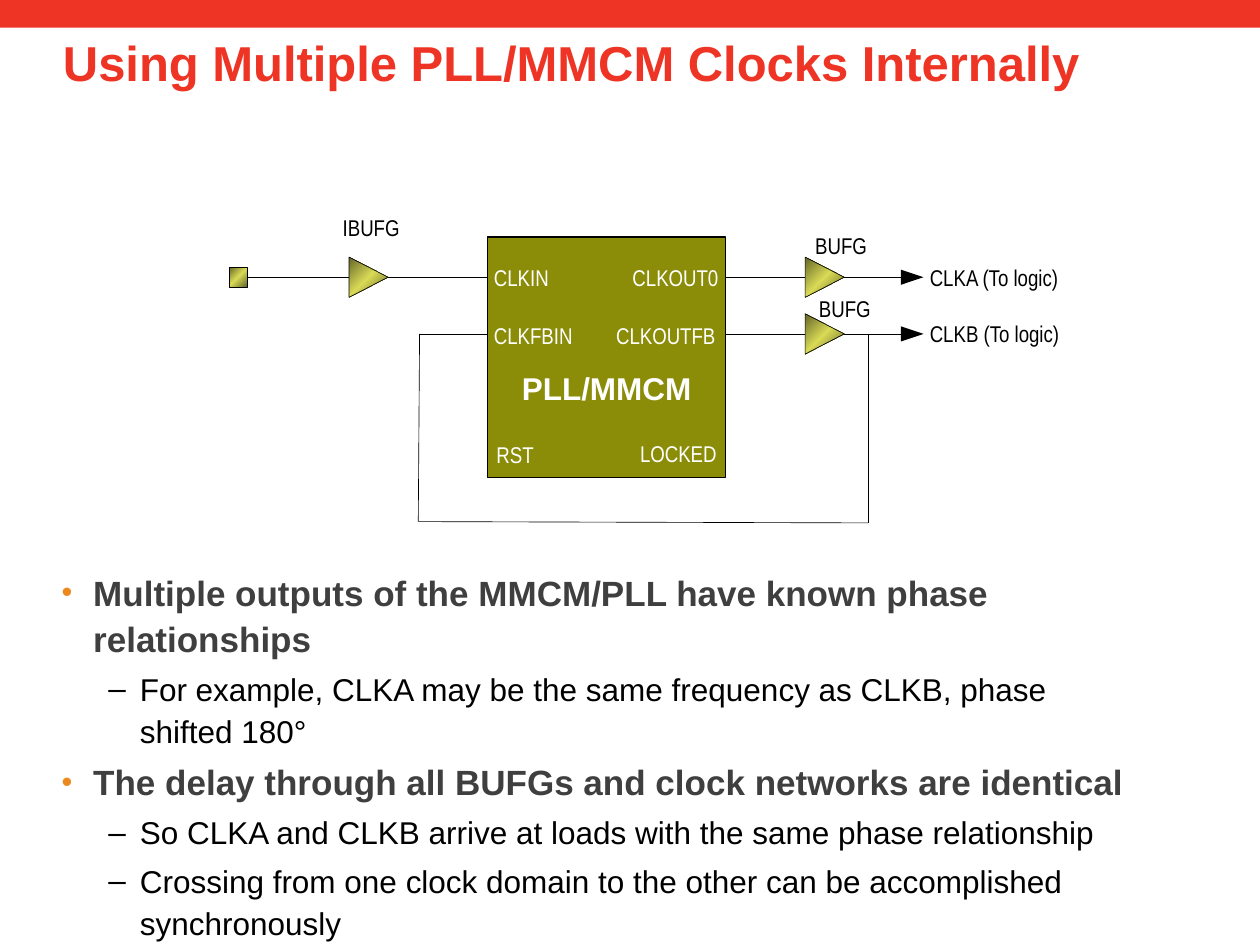
"""Build the slide on using several PLL/MMCM clocks internally."""
import lxml.etree
import pptx
import pptx.dml.color
import pptx.enum.shapes
import pptx.enum.text
import pptx.oxml.ns
import pptx.util

Inches, Pt = pptx.util.Inches, pptx.util.Pt
qn = pptx.oxml.ns.qn
SHAPES = pptx.enum.shapes.MSO_SHAPE
ANCHOR = pptx.enum.text.MSO_ANCHOR
CENTER = pptx.enum.text.PP_ALIGN.CENTER

RED, BLACK, WHITE, OLIVE = "EE3424", "000000", "FFFFFF", "8B8D09"
GOLD = ((0, "646528"), (50, "D9DA56"), (100, "646528"))
THIN = 0.38

TITLE = "Using Multiple PLL/MMCM Clocks Internally"
POINTS = [
    (0, "Multiple outputs of the MMCM/PLL have known phase relationships"),
    (1, "For example, CLKA may be the same frequency as CLKB, phase shifted 180°"),
    (0, "The delay through all BUFGs and clock networks are identical"),
    (1, "So CLKA and CLKB arrive at loads with the same phase relationship"),
    (1, "Crossing from one clock domain to the other can be accomplished synchronously"),
]
LEVELS = [
    {"bullet": "•", "bullet_color": "EC891D", "bullet_size": 88, "indent": 0.25,
     "spacing": {"line_spacing": Pt(26.4), "space_before": Pt(4)},
     "font": {"size": Pt(20), "bold": True}, "color": "3F3F3F"},
    {"bullet": "–", "bullet_color": BLACK, "bullet_size": 100, "indent": 0.62,
     "spacing": {"line_spacing": Pt(24), "space_before": Pt(3.6)},
     "font": {"size": Pt(18), "bold": False}, "color": BLACK},
]
LABELS = [
    ("IBUFG", 2.72, 1.7, 0.55, BLACK),
    ("BUFG", 6.47, 1.84, 0.5, BLACK),
    ("BUFG", 6.5, 2.34, 0.5, BLACK),
    ("CLKA (To logic)", 7.38, 2.09, 1.37, BLACK),
    ("CLKB (To logic)", 7.38, 2.54, 1.37, BLACK),
    ("CLKIN", 3.92, 2.09, 0.53, WHITE),
    ("CLKFBIN", 3.92, 2.55, 0.76, WHITE),
    ("RST", 3.94, 3.5, 0.35, WHITE),
    ("CLKOUT0", 5.02, 2.09, 0.84, WHITE),
    ("CLKOUTFB", 4.89, 2.55, 0.96, WHITE),
    ("LOCKED", 5.08, 3.49, 0.74, WHITE),
]
CLKA_Y, CLKB_Y = 2.2, 2.65
INPUT_X, OUTPUT_X, ARROW_X = 2.77, 6.39, 7.15
BUFFER = (0.31, 0.32)
ARROW = (0.18, 0.12)
BLOCK = (3.87, 1.88, 1.89, 1.91)
PAD = (1.82, 2.12, 0.14, 0.16)
FEEDBACK = [(6.89, CLKB_Y), (6.89, 4.15), (3.32, 4.14), (3.33, CLKB_Y), (BLOCK[0], CLKB_Y)]

FRAME = {"word_wrap": True, "margin_left": 0, "margin_right": Inches(0.1),
         "margin_top": Inches(0.05), "margin_bottom": Inches(0.05),
         "vertical_anchor": ANCHOR.TOP}
LABEL_FRAME = {**FRAME, "word_wrap": False, "margin_right": 0, "margin_top": 0,
               "margin_bottom": 0}
BLOCK_FRAME = {**FRAME, "margin_left": Inches(0.1), "margin_top": Inches(0.54),
               "vertical_anchor": ANCHOR.MIDDLE}


def rgb(value):
    return pptx.dml.color.RGBColor.from_string(value)


def apply(target, values):
    for name, value in values.items():
        setattr(target, name, value)


def write(paragraph, text, color, font):
    paragraph.text = text
    apply(paragraph.font, {"name": "Arial", **font})
    paragraph.font.color.rgb = rgb(color)


def paint(shape, fill, line_width=None):
    shape.shadow.inherit = False
    if isinstance(fill, str):
        shape.fill.solid()
        shape.fill.fore_color.rgb = rgb(fill)
    else:
        shape.fill.gradient()
        shape.fill.gradient_angle = 315
        stops = next(shape.element.iter(qn("a:gsLst")))
        for stop in list(stops):
            stops.remove(stop)
        for percent, color in fill:
            stop = lxml.etree.SubElement(stops, qn("a:gs"), pos=str(percent * 1000))
            lxml.etree.SubElement(stop, qn("a:srgbClr"), val=color)
    if line_width is None:
        shape.line.fill.background()
    else:
        shape.line.color.rgb = rgb(BLACK)
        shape.line.width = Pt(line_width)


def rectangle(slide, box, fill, line_width=None):
    shape = slide.shapes.add_shape(SHAPES.RECTANGLE, *map(Inches, box))
    paint(shape, fill, line_width)
    return shape


def pointer(slide, left, middle, size, fill, line_width=None):
    width, height = size
    top, bottom = middle - height / 2, middle + height / 2
    builder = slide.shapes.build_freeform(Inches(left), Inches(top))
    corners = [(left, bottom), (left + width, middle)]
    builder.add_line_segments([tuple(map(Inches, corner)) for corner in corners], close=True)
    paint(builder.convert_to_shape(), fill, line_width)


def wire(slide, start, end):
    line = slide.shapes.add_connector(
        pptx.enum.shapes.MSO_CONNECTOR.STRAIGHT, *map(Inches, start + end))
    line.line.color.rgb = rgb(BLACK)
    line.line.width = Pt(THIN)
    lxml.etree.SubElement(line.element.spPr, qn("a:effectLst"))


def text_frame(slide, box, frame_format):
    frame = slide.shapes.add_textbox(*map(Inches, box)).text_frame
    apply(frame, frame_format)
    return frame


def add_bullet(paragraph, level):
    indent = Inches(level["indent"])
    props = paragraph._p.get_or_add_pPr()
    props.set("marL", str(indent))
    props.set("indent", str(-Inches(0.25)))
    color = lxml.etree.SubElement(props, qn("a:buClr"))
    lxml.etree.SubElement(color, qn("a:srgbClr"), val=level["bullet_color"])
    lxml.etree.SubElement(props, qn("a:buSzPct"), val=str(level["bullet_size"] * 1000))
    lxml.etree.SubElement(props, qn("a:buFont"), typeface="Arial")
    lxml.etree.SubElement(props, qn("a:buChar"), char=level["bullet"])


def draw_diagram(slide):
    block_left, block_right = BLOCK[0], BLOCK[0] + BLOCK[2]
    block = rectangle(slide, BLOCK, OLIVE, 0.75)
    apply(block.text_frame, BLOCK_FRAME)
    caption = block.text_frame.paragraphs[0]
    caption.alignment = CENTER
    write(caption, "PLL/MMCM", WHITE, {"size": Pt(18), "bold": True})

    rectangle(slide, PAD, GOLD, THIN)
    wire(slide, (PAD[0] + PAD[2], CLKA_Y), (INPUT_X, CLKA_Y))
    pointer(slide, INPUT_X, CLKA_Y, BUFFER, GOLD, THIN)
    wire(slide, (INPUT_X + BUFFER[0], CLKA_Y), (block_left, CLKA_Y))

    for y in (CLKA_Y, CLKB_Y):
        wire(slide, (block_right, y), (OUTPUT_X, y))
        pointer(slide, OUTPUT_X, y, BUFFER, GOLD, THIN)
        wire(slide, (OUTPUT_X + BUFFER[0], y), (ARROW_X, y))
        pointer(slide, ARROW_X, y, ARROW, BLACK)
    for start, end in zip(FEEDBACK, FEEDBACK[1:]):
        wire(slide, start, end)

    for text, left, top, width, color in LABELS:
        label = text_frame(slide, (left, top, width, 0.22), LABEL_FRAME)
        write(label.paragraphs[0], text, color, {"name": "Arial Narrow", "size": Pt(13)})


def draw_points(slide):
    body = text_frame(slide, (0.49, 4.45, 8.67, 2.59), FRAME)
    for number, (depth, text) in enumerate(POINTS):
        level = LEVELS[depth]
        point = body.add_paragraph() if number else body.paragraphs[0]
        point.level = depth
        add_bullet(point, level)
        apply(point, level["spacing"])
        write(point, text, level["color"], level["font"])
    body.paragraphs[0].space_before = Pt(0)


def main():
    deck = pptx.Presentation()
    apply(deck, {"slide_width": Inches(10), "slide_height": Inches(7.5)})
    slide = deck.slides.add_slide(deck.slide_layouts[6])
    rectangle(slide, (0, 0, 10, 0.22), RED)
    heading = text_frame(slide, (0.5, 0.23, 9, 1.25), FRAME).paragraphs[0]
    heading.line_spacing = 0.98
    write(heading, TITLE, RED, {"size": Pt(28), "bold": True})
    draw_diagram(slide)
    draw_points(slide)
    deck.save("out.pptx")


if __name__ == "__main__":
    main()
